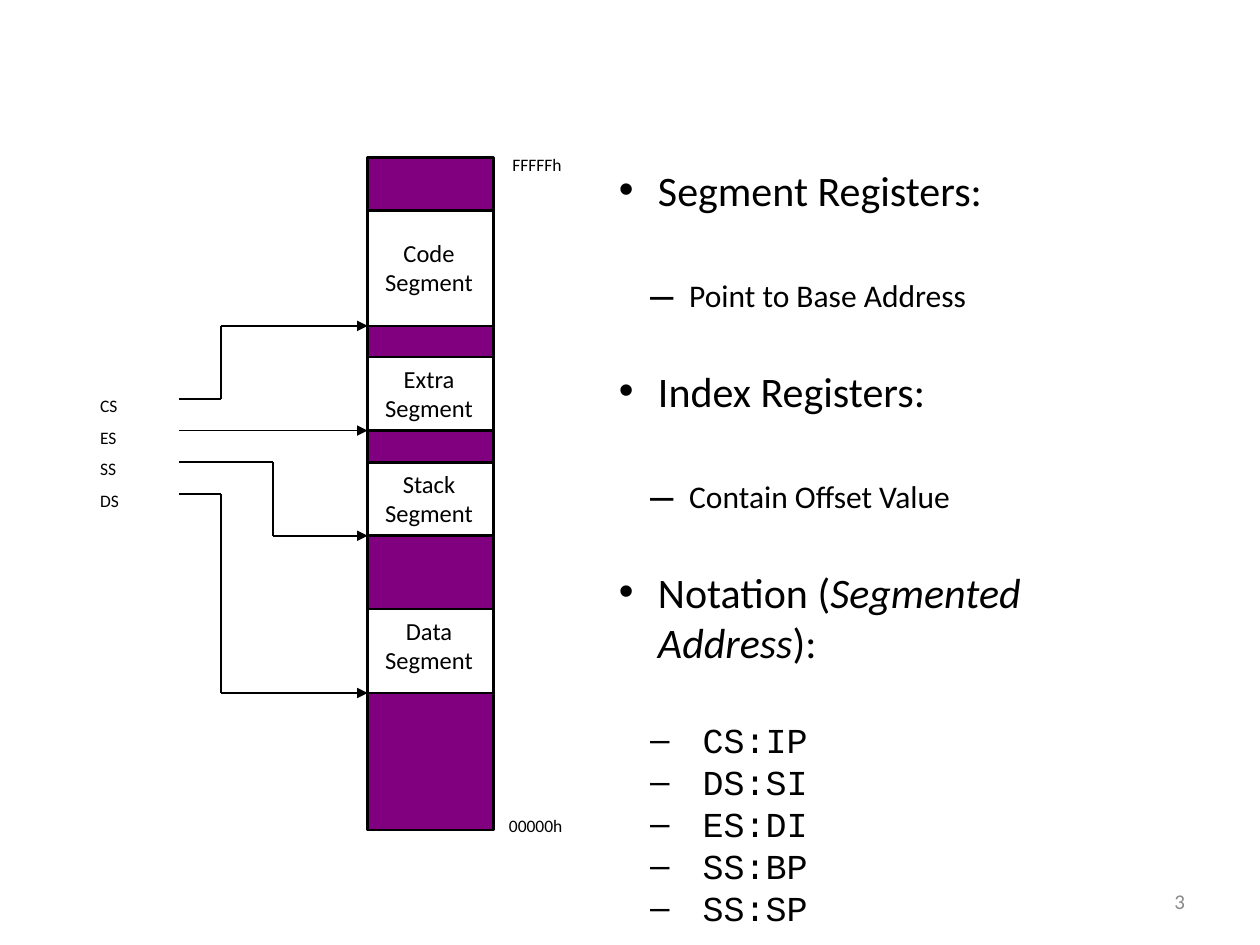
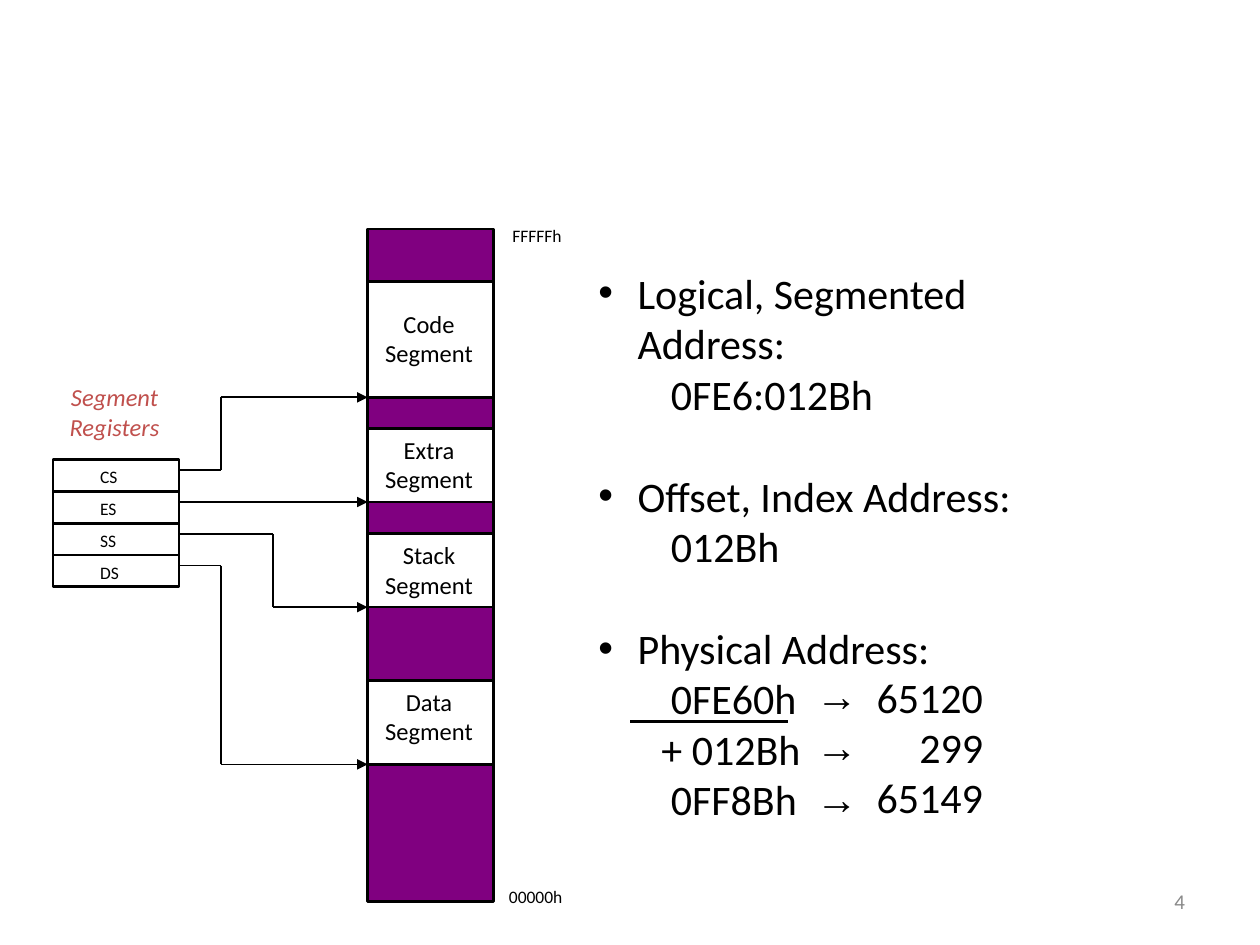
from dataclasses import dataclass
from itertools import pairwise
from lxml.etree import SubElement
from pptx import Presentation
from pptx.dml.color import RGBColor
from pptx.enum.shapes import MSO_CONNECTOR, MSO_SHAPE
from pptx.enum.text import MSO_ANCHOR, MSO_AUTO_SIZE, PP_ALIGN
from pptx.oxml.ns import qn
from pptx.util import Cm, Pt


# Theme
@dataclass(frozen=True)
class Theme:
    ink: str = "000000"
    paper: str = "FFFFFF"
    fill: str = "800080"
    accent: str = "C0504D"
    grey: str = "898989"
    font: str = "Calibri"
    code: str = "Courier New"
    sign: str = "Arial"
    tiny: float = 10
    small: float = 12
    label: float = 14
    sub: float = 18
    mono: float = 20
    head: float = 24
    pitch: float = 29.3
    thin: float = 1
    thick: float = 1.5


THEME = Theme()

# Content: memory map, in cm below the top of the tower
# name, top, height, space above the name
SEGMENTS = {
    "CS": ("Code", 1.06, 2.33, 0.55),
    "ES": ("Extra", 4.02, 1.48, 0.13),
    "SS": ("Stack", 6.14, 1.48, 0.13),
    "DS": ("Data", 9.1, 1.69, 0.13),
}
BENDS = {"CS": 4.45, "SS": 5.5, "DS": 4.45}
ENDS = [("FFFFFh", 10.08, -0.21), ("00000h", 10.01, 13.12)]
TOWER = (7.41, 2.54, 13.55)  # left, width, height
CELLS = (1.07, 4.65, 2.54, 0.64)  # left, top, width, height
PIN = 0.21  # from cell top to the start of its arrow

# Content: lists as (kind, text); a tuple of text is (part, italic) pairs
SLIDES = [
    {
        "number": "3", "top": 3.18, "framed": False,
        "area": (12.22, 3.18, 11.73, 14.73),
        "lines": [
            ("head", "Segment Registers:"),
            ("dash", "Point to Base Address"),
            ("head", "Index Registers:"),
            ("dash", "Contain Offset Value"),
            ("head", (("Notation (", None), ("Segmented Address", True),
                      ("):", None))),
            ("code", "CS:IP"), ("code", "DS:SI"), ("code", "ES:DI"),
            ("code", "SS:BP"), ("code", "SS:SP"),
        ],
    },
    {
        "number": "4", "top": 4.62, "framed": True,
        "area": (11.81, 5.26, 10.87, 10.46),
        "lines": [
            ("head", "Logical, Segmented Address:"),
            ("row", "0FE6:012Bh"),
            ("head", "Offset, Index Address:"),
            ("row", "012Bh"),
            ("head", "Physical Address:"),
            ("row", "0FE60h"), ("plus", "+ 012Bh"), ("row", "0FF8Bh"),
        ],
    },
]
SUM = ["65120", "299", "65149"]
SUM_TOP, SUM_TALL = 13.4, 3.4

# kind: bullet, bullet size %, left margin, first-line indent, gap, size, font
KINDS = {
    "head": ("•", 100, 0.79, -0.79, 29.5, THEME.head, THEME.font),
    "dash": ("–", 133, 1.42, -0.79, 35, THEME.sub, THEME.font),
    "code": ("–", 100, 1.69, -1.06, 29.5, THEME.mono, THEME.code),
    "row": (None, 100, 0, 1.46, 0, THEME.head, THEME.font),
    "plus": (None, 100, 0, 1.27, 0, THEME.head, THEME.font),
}


# Helpers
def tint(color):
    return RGBColor.from_string(color)


def style(para, size, color=THEME.ink, font=THEME.font, italic=None):
    para.font.size, para.font.name = Pt(size), font
    para.font.color.rgb = tint(color)
    para.font.italic = italic


def write(shape, lines, size, color=THEME.ink, align=PP_ALIGN.LEFT,
          inset=(0.25, 0.13), anchor=MSO_ANCHOR.TOP, font=THEME.font,
          italic=None, pitch=None):
    frame = shape.text_frame
    frame.word_wrap = False
    frame.vertical_anchor = anchor
    frame.margin_left = frame.margin_right = Cm(inset[0])
    frame.margin_top, frame.margin_bottom = Cm(inset[1]), Cm(0.13)
    frame.text = "\n".join(lines)
    for para in frame.paragraphs:
        para.alignment = align
        if pitch:
            para.line_spacing = Pt(pitch)
        style(para, size, color, font, italic)


def label(slide, area, lines, size, **look):
    box = slide.shapes.add_textbox(*map(Cm, area))
    write(box, lines, size, **look)


def block(slide, area, fill=None):
    box = slide.shapes.add_shape(MSO_SHAPE.RECTANGLE, *map(Cm, area))
    box.shadow.inherit = False
    if fill:
        box.fill.solid()
        box.fill.fore_color.rgb = tint(fill)
    else:
        box.fill.background()
    box.line.color.rgb = tint(THEME.ink)
    box.line.width = Pt(THEME.thick)
    return box


def line(slide, start, end, width=THEME.thin, arrow=False):
    link = slide.shapes.add_connector(
        MSO_CONNECTOR.STRAIGHT, *map(Cm, (*start, *end)))
    link.line.color.rgb = tint(THEME.ink)
    link.line.width = Pt(width)
    props = link._element.spPr
    if arrow:
        SubElement(props.find(qn("a:ln")), qn("a:tailEnd"), type="triangle")
    SubElement(props, qn("a:effectLst"))


# Memory tower, registers and arrows
def tower(slide, top, framed):
    left, width, height = TOWER
    block(slide, (left, top, width, height), THEME.fill)
    for name, drop, tall, space in SEGMENTS.values():
        box = block(slide, (left, top + drop, width, tall), THEME.paper)
        write(box, [name, "Segment"], THEME.label, align=PP_ALIGN.CENTER,
              inset=(0, space))
        box.text_frame.margin_right = Cm(0.06)
    for text, side, drop in ENDS:
        label(slide, (side, top + drop, 1.8, 0.69), [text], THEME.tiny)

    edge, first, wide, step = CELLS
    for row, (name, part) in enumerate(SEGMENTS.items()):
        cell = top + first + row * step
        if framed:
            block(slide, (edge, cell, wide, step))
        label(slide, (edge + 0.7, cell, 1.2, 0.69), [name], THEME.tiny)
        start, goal = (edge + wide, cell + PIN), (left, top + part[1] + part[2])
        bend = BENDS.get(name)
        turns = [(bend, start[1]), (bend, goal[1])] if bend else []
        for one, two in pairwise([start, *turns, goal]):
            line(slide, one, two, arrow=two == goal)


# Bulleted list in the body placeholder
def mark(para, kind):
    sign, scale, margin, indent = KINDS[kind][:4]
    props = para._p.get_or_add_pPr()
    props.set("marL", str(Cm(margin)))
    props.set("indent", str(Cm(indent)))
    if sign:
        SubElement(props, qn("a:buSzPct"), val=str(scale * 1000))
        SubElement(props, qn("a:buFont"), typeface=THEME.sign)
        SubElement(props, qn("a:buChar"), char=sign)
    else:
        SubElement(props, qn("a:buNone"))


def listing(body, area, lines):
    body.left, body.top, body.width, body.height = map(Cm, area)
    frame = body.text_frame
    frame.word_wrap, frame.auto_size = True, MSO_AUTO_SIZE.NONE
    frame.vertical_anchor = MSO_ANCHOR.TOP
    frame.margin_right = Cm(1.27)
    last = None
    for kind, text in lines:
        para = frame.add_paragraph() if last else frame.paragraphs[0]
        mark(para, kind)
        gap, size, font = KINDS[kind][4:]
        para.space_before = Pt(gap if last and kind != last else 0)
        style(para, size, font=font)
        for part, italic in ((text, None),) if isinstance(text, str) else text:
            run = para.add_run()
            run.text, run.font.italic = part, italic
        last = kind


# Register heading and the decimal side of the sum
def extras(slide, top):
    label(slide, (1.14, top + 2.96, 2.34, 1.45), ["Segment", "Registers"],
          THEME.label, color=THEME.accent, align=PP_ALIGN.CENTER, italic=True)
    label(slide, (16.2, SUM_TOP - 0.05, 1.4, SUM_TALL), ["→"] * len(SUM),
          THEME.head, font=THEME.sign, pitch=THEME.pitch)
    label(slide, (17.3, SUM_TOP, 2.77, SUM_TALL), SUM, THEME.head,
          align=PP_ALIGN.RIGHT)
    line(slide, (12.7, 14.55), (15.88, 14.55), THEME.thick)


def main():
    deck = Presentation()
    deck.slide_width, deck.slide_height = Cm(25.4), Cm(19.05)
    for page in SLIDES:
        slide = deck.slides.add_slide(deck.slide_layouts[1])
        title = slide.shapes.title._element
        title.getparent().remove(title)
        tower(slide, page["top"], page["framed"])
        listing(slide.placeholders[1], page["area"], page["lines"])
        if page["framed"]:
            extras(slide, page["top"])
        label(slide, (18.21, 17.65, 5.93, 1.02), [page["number"]], THEME.small,
              color=THEME.grey, align=PP_ALIGN.RIGHT, anchor=MSO_ANCHOR.MIDDLE)
    deck.save("out.pptx")


if __name__ == "__main__":
    main()
